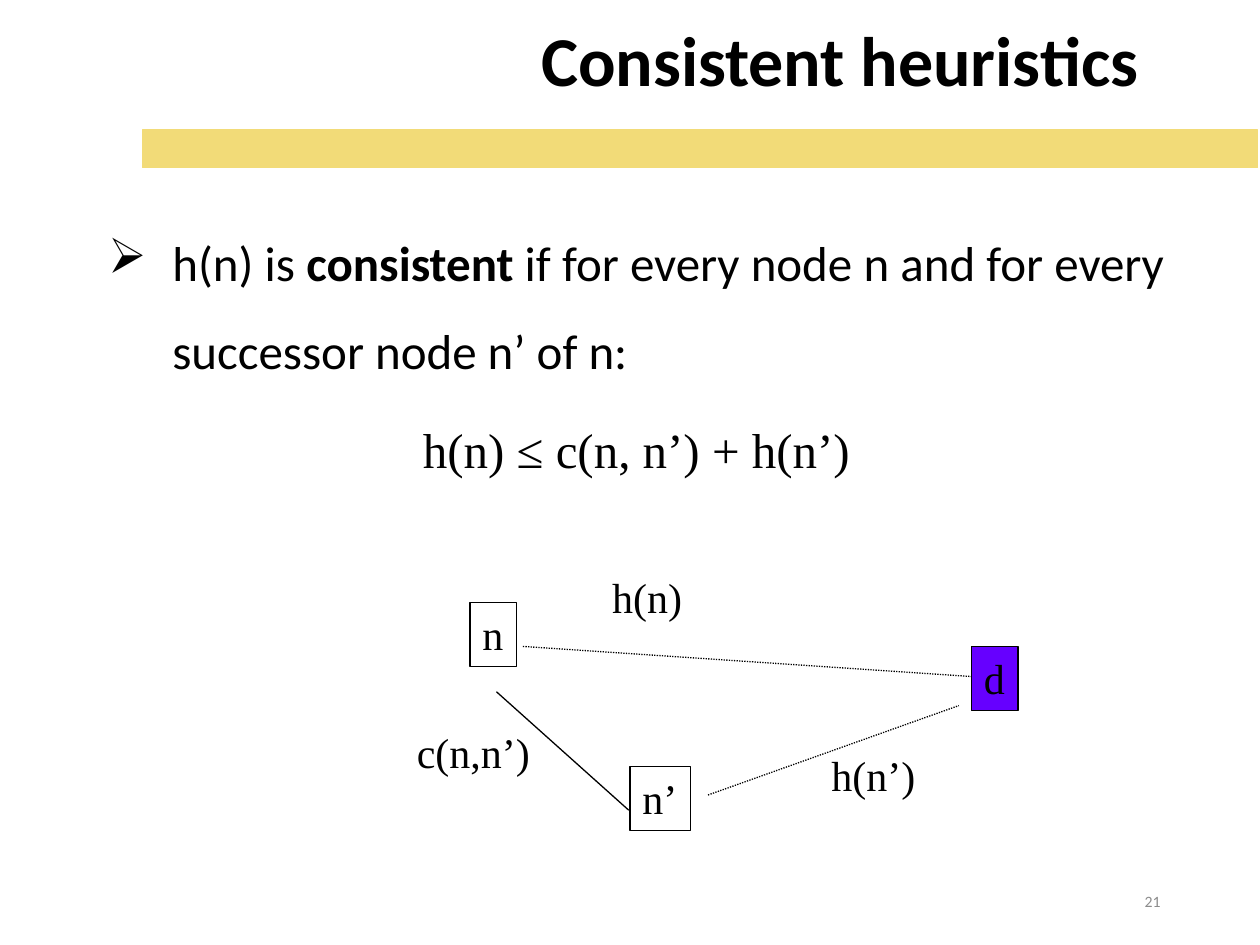
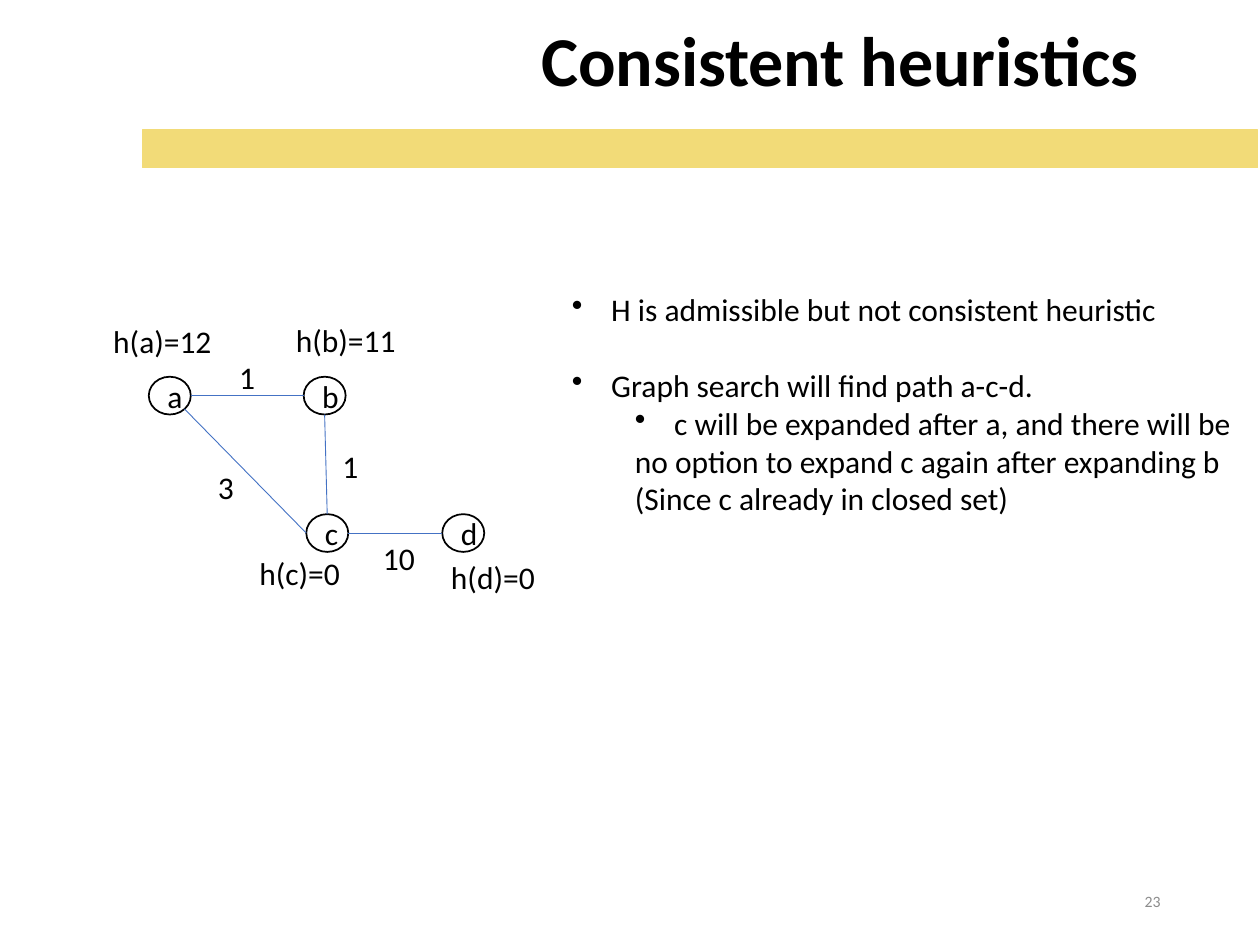
from typing import NamedTuple, Optional

from lxml.etree import SubElement
from pptx import Presentation
from pptx.dml.color import RGBColor
from pptx.enum.dml import MSO_LINE
from pptx.enum.shapes import MSO_CONNECTOR, MSO_SHAPE
from pptx.enum.text import MSO_ANCHOR, PP_ALIGN
from pptx.oxml.ns import qn
from pptx.shapes.autoshape import Shape
from pptx.slide import Slide
from pptx.text.text import TextFrame, _Paragraph
from pptx.util import Pt

BLACK = RGBColor(0x00, 0x00, 0x00)
GREY = RGBColor(0x8C, 0x8C, 0x8C)
GOLD = RGBColor(0xF2, 0xDB, 0x78)
VIOLET = RGBColor(0x66, 0x00, 0xFF)
BLUE = RGBColor(0x44, 0x72, 0xC4)
SANS = "Calibri"
SERIF = "Times New Roman"

STATE_HEIGHT = 36.7
NODE_WIDTH, NODE_HEIGHT = 24, 21.6
LABEL_HEIGHT = 28.8

TOP, BOTTOM = (0.5, 0), (0.5, 1)
LEFT, RIGHT = (0, 0.5), (1, 0.5)
LOWER_RIGHT = (0.85, 0.85)


class Point(NamedTuple):
    x: float
    y: float


class Box(NamedTuple):
    left: float
    top: float
    width: float
    height: float

    def at(self, fraction: tuple[float, float]) -> Point:
        across, down = fraction
        return Point(self.left + across * self.width, self.top + down * self.height)


class Label(NamedTuple):
    text: str
    left: float
    top: float
    width: float


class State(NamedTuple):
    label: Label
    fill: Optional[RGBColor] = None


class Link(NamedTuple):
    start: Point
    end: Point
    dash: Optional[MSO_LINE] = None


class Edge(NamedTuple):
    start: str
    start_side: tuple[float, float]
    end: str
    end_side: tuple[float, float]


class Remark(NamedTuple):
    text: str
    margin: float
    indent: float = 0
    bullet: str = ""
    gap: float = 0


STATES = [
    State(Label("n", 268.6, 344.2, 26.6)),
    State(Label("n’", 360, 437.8, 34.6)),
    State(Label("d", 555.1, 369.4, 26.6), VIOLET),
]
LINKS = [
    Link(Point(283.7, 395.3), Point(359.3, 463)),
    Link(Point(404.6, 454.3), Point(547.9, 403.2), MSO_LINE.ROUND_DOT),
    Link(Point(298.8, 369.4), Point(555.1, 386.6), MSO_LINE.ROUND_DOT),
]
COSTS = [
    Label("h(n)", 342.7, 323.3, 54.7),
    Label("c(n,n’)", 231.1, 411.8, 79.9),
    Label("h(n’)", 468, 424.8, 63.4),
]
NODES = {
    "a": Point(85, 215.3),
    "b": Point(173.5, 215.3),
    "c": Point(175, 293.8),
    "d": Point(252.7, 293.8),
}
EDGES = [
    Edge("a", RIGHT, "b", LEFT),
    Edge("b", BOTTOM, "c", TOP),
    Edge("c", RIGHT, "d", LEFT),
    Edge("c", LEFT, "a", LOWER_RIGHT),
]
GRAPH_LABELS = [
    Label("1", 129.6, 200.9, 23.8),
    Label("1", 188.6, 252, 23.8),
    Label("3", 117.4, 264.2, 23.8),
    Label("10", 211.7, 304.6, 33.1),
    Label("h(a)=12", 57.6, 180.7, 71.3),
    Label("h(b)=11", 162, 180, 72),
    Label("h(c)=0", 141.1, 313.2, 61.2),
    Label("h(d)=0", 250.6, 315.4, 63.4),
]
REMARKS = [
    Remark("H is admissible but not consistent heuristic", 22.5, -22.5, "•"),
    Remark("Graph search will find path a-c-d.", 22.5, -22.5, "•", gap=22),
    Remark("c will be expanded after a, and there will be", 58.5, -22.5, "•"),
    Remark("no option to expand c again after expanding b", 36),
    Remark("(Since c already in closed set)", 36),
]


def write(
    paragraph: _Paragraph,
    text: str,
    *,
    font: str = SANS,
    size: float = 18,
    color: RGBColor = BLACK,
    bold: bool = False,
    align: PP_ALIGN = PP_ALIGN.LEFT,
) -> None:
    paragraph.alignment = align
    run = paragraph.add_run()
    run.text = text
    run.font.name = font
    run.font.size = Pt(size)
    run.font.color.rgb = color
    run.font.bold = bold


def set_indent(
    paragraph: _Paragraph, margin: float, indent: float, bullet: str = ""
) -> None:
    properties = paragraph._p.get_or_add_pPr()
    properties.set("marL", str(Pt(margin)))
    properties.set("indent", str(Pt(indent)))
    if bullet:
        SubElement(properties, qn("a:buChar")).set("char", bullet)


def add_frame(
    slide: Slide, box: Box, wrap: bool = True, anchor: MSO_ANCHOR = MSO_ANCHOR.TOP
) -> TextFrame:
    frame = slide.shapes.add_textbox(*map(Pt, box)).text_frame
    frame.word_wrap = wrap
    frame.vertical_anchor = anchor
    return frame


def add_outline(
    slide: Slide,
    kind: MSO_SHAPE,
    box: Box,
    *,
    fill: Optional[RGBColor] = None,
    line: RGBColor = BLACK,
    weight: float = 1,
) -> Shape:
    shape = slide.shapes.add_shape(kind, *map(Pt, box))
    shape.shadow.inherit = False
    if fill is None:
        shape.fill.background()
    else:
        shape.fill.solid()
        shape.fill.fore_color.rgb = fill
    shape.line.color.rgb = line
    shape.line.width = Pt(weight)
    return shape


def add_link(slide: Slide, link: Link, color: RGBColor, weight: float) -> None:
    connector = slide.shapes.add_connector(
        MSO_CONNECTOR.STRAIGHT, *map(Pt, link.start + link.end)
    )
    connector.line.color.rgb = color
    connector.line.width = Pt(weight)
    if link.dash is not None:
        connector.line.dash_style = link.dash
    SubElement(connector._element.spPr, qn("a:effectLst"))


def add_label(slide: Slide, label: Label, height: float, font: str, size: float) -> None:
    frame = add_frame(slide, Box(*label[1:], height), wrap=False)
    write(frame.paragraphs[0], label.text, font=font, size=size)


def add_state(slide: Slide, state: State) -> None:
    label = state.label
    box = Box(*label[1:], STATE_HEIGHT)
    frame = add_outline(
        slide, MSO_SHAPE.RECTANGLE, box, fill=state.fill, weight=0.75
    ).text_frame
    frame.word_wrap = False
    frame.vertical_anchor = MSO_ANCHOR.TOP
    write(frame.paragraphs[0], label.text, font=SERIF, size=24)


def add_node(slide: Slide, name: str, box: Box) -> None:
    frame = add_outline(slide, MSO_SHAPE.OVAL, box).text_frame
    frame.vertical_anchor = MSO_ANCHOR.MIDDLE
    write(frame.paragraphs[0], name, align=PP_ALIGN.CENTER)


def start_slide(deck: Presentation, number: int) -> Slide:
    slide = deck.slides.add_slide(deck.slide_layouts[6])
    footer = add_frame(slide, Box(508.3, 500.4, 162, 28.8), anchor=MSO_ANCHOR.MIDDLE)
    write(footer.paragraphs[0], str(number), size=9, color=GREY, align=PP_ALIGN.RIGHT)
    band = Box(81.4, 74.2, 637.2, 21.6)
    add_outline(slide, MSO_SHAPE.RECTANGLE, band, fill=GOLD, line=GOLD)
    title = add_frame(slide, Box(270, 5.8, 419.8, 55.4))
    write(
        title.paragraphs[0],
        "Consistent heuristics",
        size=40,
        bold=True,
        align=PP_ALIGN.CENTER,
    )
    return slide


def build_definition(deck: Presentation) -> None:
    slide = start_slide(deck, 21)
    body = add_frame(slide, Box(54.7, 112.3, 617.8, 333.4))
    definition, formula = body.paragraphs[0], body.add_paragraph()
    for paragraph, bullet in ((definition, "➢"), (formula, "")):
        paragraph.line_spacing = 1.5
        paragraph.space_before = Pt(6)
        set_indent(paragraph, 36.7, -36.7, bullet)
    for text, bold in (
        ("h(n) is ", False),
        ("consistent", True),
        (" if for every node n and for every successor node n’ of n:", False),
    ):
        write(definition, text, size=28, bold=bold, align=PP_ALIGN.JUSTIFY)
    write(
        formula, "h(n) ≤ c(n, n’) + h(n’)", font=SERIF, size=28, align=PP_ALIGN.CENTER
    )
    for state in STATES:
        add_state(slide, state)
    for link in LINKS:
        add_link(slide, link, BLACK, 0.75)
    for cost in COSTS:
        add_label(slide, cost, STATE_HEIGHT, SERIF, 24)


def build_counterexample(deck: Presentation) -> None:
    slide = start_slide(deck, 23)
    boxes = {
        name: Box(*corner, NODE_WIDTH, NODE_HEIGHT) for name, corner in NODES.items()
    }
    for name, box in boxes.items():
        add_node(slide, name, box)
    for edge in EDGES:
        start = boxes[edge.start].at(edge.start_side)
        end = boxes[edge.end].at(edge.end_side)
        add_link(slide, Link(start, end), BLUE, 0.5)
    for label in GRAPH_LABELS:
        add_label(slide, label, LABEL_HEIGHT, SANS, 18)
    remarks = add_frame(slide, Box(319.7, 162, 396.7, 159.8))
    for index, remark in enumerate(REMARKS):
        paragraph = remarks.add_paragraph() if index else remarks.paragraphs[0]
        paragraph.space_before = Pt(remark.gap)
        set_indent(paragraph, remark.margin, remark.indent, remark.bullet)
        write(paragraph, remark.text)


def main() -> None:
    deck = Presentation()
    deck.slide_width, deck.slide_height = Pt(720), Pt(540)
    build_definition(deck)
    build_counterexample(deck)
    deck.save("out.pptx")


if __name__ == "__main__":
    main()
